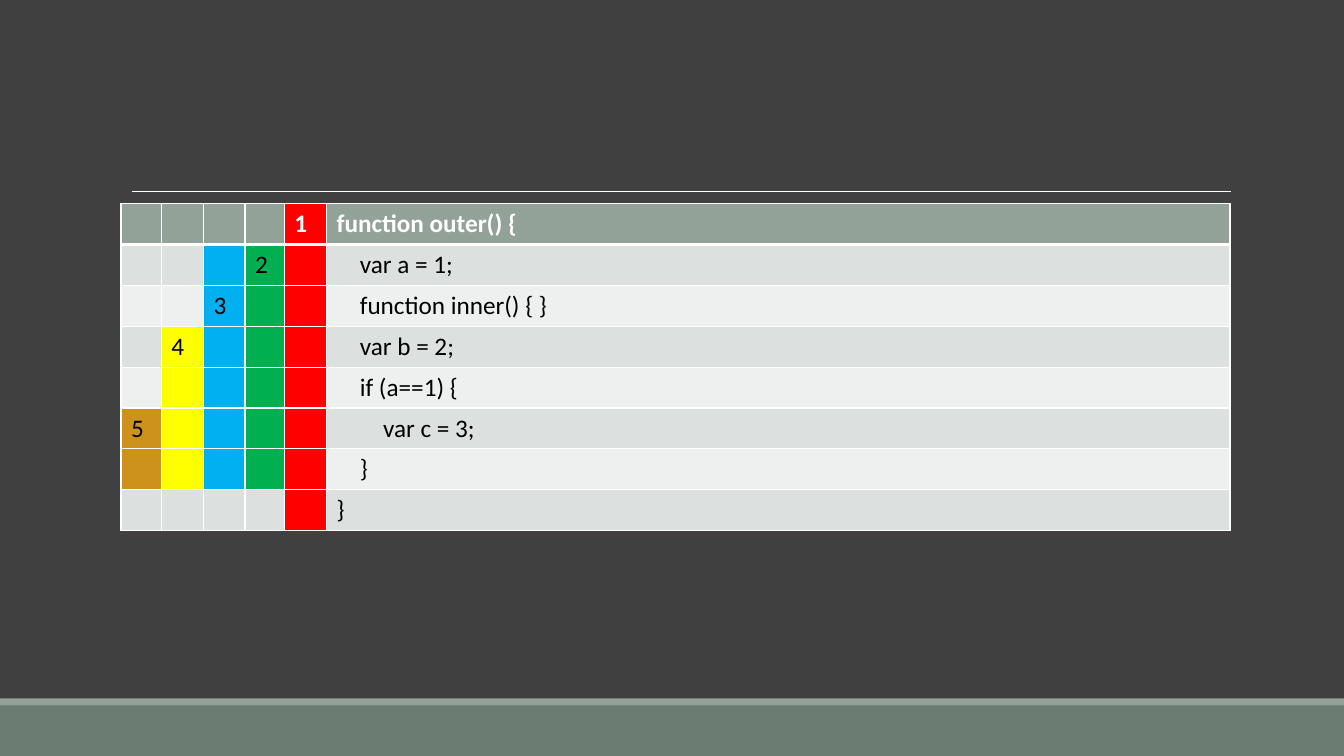
from lxml.etree import SubElement
from pptx import Presentation
from pptx.dml.color import RGBColor
from pptx.enum.shapes import MSO_CONNECTOR as Connector, MSO_SHAPE as Shape
from pptx.oxml.ns import qn
from pptx.util import Inches, Pt

CODE_LINES = [
    (0, "function outer() {"),
    (1, "var a = 1;"),
    (1, "function inner() { }"),
    (1, "var b = 2;"),
    (1, "if (a==1) {"),
    (2, "var c = 3;"),
    (1, "}"),
    (0, "}"),
]
SCOPE_BARS = [
    {"label": "5", "label_row": 5, "rows": range(5, 7), "color": "CD921B"},
    {"label": "4", "label_row": 3, "rows": range(3, 7), "color": "FFFF00"},
    {"label": "3", "label_row": 2, "rows": range(1, 7), "color": "00B0F0"},
    {"label": "2", "label_row": 1, "rows": range(1, 7), "color": "00B050"},
    {"label": "1", "label_row": 0, "rows": range(0, 8), "color": "FF0000"},
]
FOOTER_BANDS = [(7, 0.5, "6B7D72"), (6.93, 0.07, "93A299")]
COLUMN_WIDTHS = [0.4, 0.42, 0.41, 0.39, 0.42, 8.96]
TABLE_LEFT, TABLE_TOP, TABLE_HEIGHT = 1.2, 2.02, 3.24
CELL_MARGIN, INDENT = 0.1, 0.23
HEADER, BANDS = "93A299", ("EEF0EF", "DCE0DE")
WHITE, BLACK, BACKGROUND = "FFFFFF", "000000", "404040"


def paint(color_format, color):
    color_format.rgb = RGBColor.from_string(color)


def fill_solid(fill, color):
    fill.solid()
    paint(fill.fore_color, color)


def add_borders(cell, row):
    properties = cell._tc.get_or_add_tcPr()
    widths = {"L": 1, "R": 1, "T": 3 if row == 1 else 1, "B": 3 if row == 0 else 1}
    for side, width in widths.items():
        border = SubElement(properties, qn(f"a:ln{side}"), w=str(Pt(width)))
        solid = SubElement(border, qn("a:solidFill"))
        SubElement(solid, qn("a:srgbClr"), val=WHITE)


def format_cell(cell, row, text, color, depth=0):
    add_borders(cell, row)
    fill_solid(cell.fill, color)
    cell.margin_left = Inches(CELL_MARGIN + depth * INDENT)
    cell.text_frame.text = text
    font = cell.text_frame.paragraphs[0].font
    for target in [font] + [run.font for run in cell.text_frame.paragraphs[0].runs]:
        target.name = "Calibri"
        target.size = Pt(18)
        target.bold = row == 0
        paint(target.color, WHITE if row == 0 else BLACK)


presentation = Presentation()
presentation.slide_width = Inches(13.33)
presentation.slide_height = Inches(7.5)
slide = presentation.slides.add_slide(presentation.slide_layouts[6])
fill_solid(slide.background.fill, BACKGROUND)

for top, height, color in FOOTER_BANDS:
    band = slide.shapes.add_shape(
        Shape.RECTANGLE, 0, Inches(top), presentation.slide_width, Inches(height)
    )
    band.shadow.inherit = False
    fill_solid(band.fill, color)
    band.line.fill.background()

title_rule = slide.shapes.add_connector(
    Connector.STRAIGHT, Inches(1.31), Inches(1.9), Inches(12.21), Inches(1.9)
)
paint(title_rule.line.color, WHITE)
title_rule.line.width = Pt(0.5)
SubElement(title_rule._element.spPr, qn("a:effectLst"))

table = slide.shapes.add_table(
    len(CODE_LINES), len(COLUMN_WIDTHS), Inches(TABLE_LEFT), Inches(TABLE_TOP),
    Inches(sum(COLUMN_WIDTHS)), Inches(TABLE_HEIGHT),
).table
for column, width in zip(table.columns, COLUMN_WIDTHS):
    column.width = Inches(width)

for row, (depth, code) in enumerate(CODE_LINES):
    row_color = HEADER if row == 0 else BANDS[row % 2]
    for column, bar in enumerate(SCOPE_BARS):
        label = bar["label"] if row == bar["label_row"] else ""
        color = bar["color"] if row in bar["rows"] else row_color
        format_cell(table.cell(row, column), row, label, color)
    format_cell(table.cell(row, len(SCOPE_BARS)), row, code, row_color, depth)

presentation.save("out.pptx")
